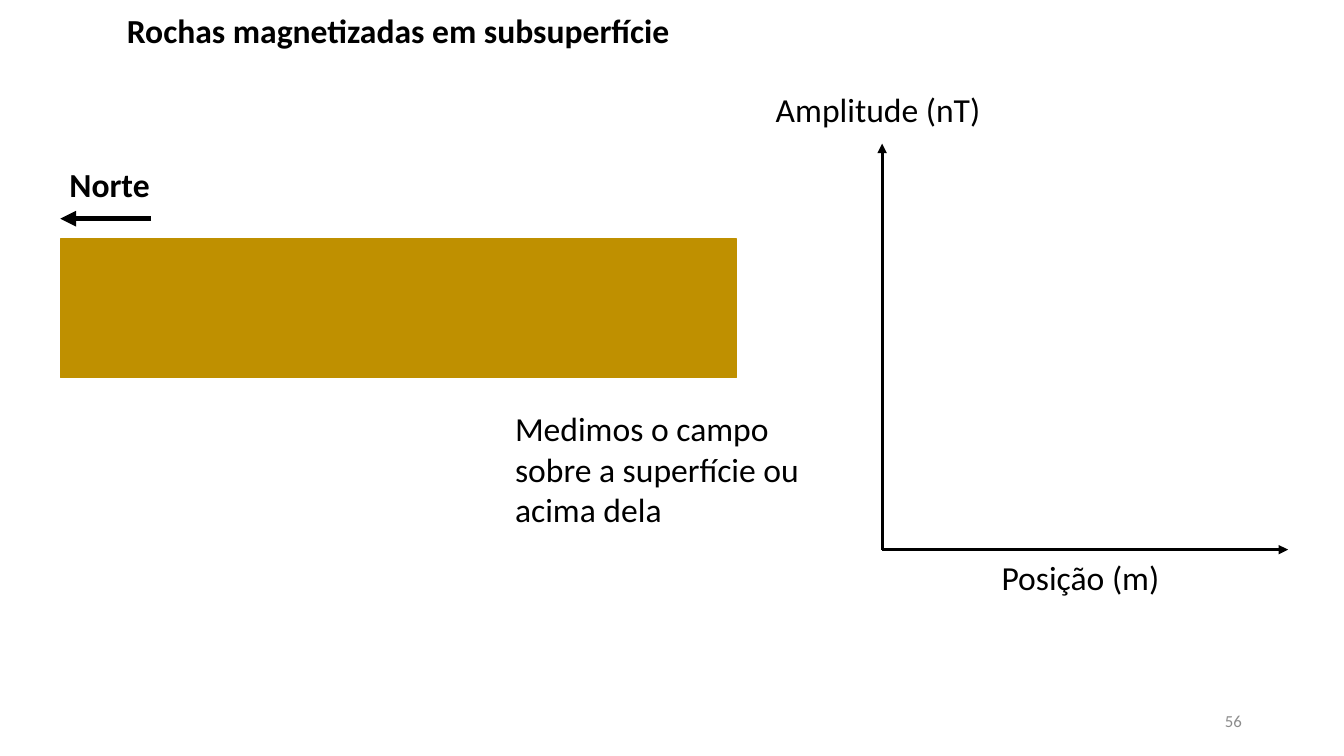
import pptx
import pptx.util
import pptx.dml.color
import pptx.enum.shapes
import pptx.enum.text
import pptx.oxml
import pptx.oxml.ns

Cm, Pt = pptx.util.Cm, pptx.util.Pt
ALIGN = pptx.enum.text.PP_ALIGN
ANCHOR = pptx.enum.text.MSO_ANCHOR

COLORS = {"text": "000000", "line": "000000", "rock": "BF9000", "number": "8C8C8C"}
FONT = "Calibri"

# Lengths in cm: left, top, width, height
ROCK_LAYER = (1.52, 6.02, 17.04, 3.5)
LABELS = [
    ("Rochas magnetizadas em subsuperfície", (2.95, 0.13, 14.6, 1.27), {"bold": True}),
    ("Norte", (1.5, 4.01, 2.95, 1.27), {"bold": True}),
    ("Posição (m)", (24.99, 13.92, 4.7, 1.27), {}),
    ("Amplitude (nT)", (19.3, 2.11, 6.05, 1.27), {}),
    ("Medimos o campo sobre a superfície ou acima dela", (12.73, 10.16, 8.15, 3.33), {}),
    ("56", (23.93, 17.65, 7.62, 1.02),
     {"size": 12, "color": "number", "align": ALIGN.RIGHT, "anchor": ANCHOR.MIDDLE}),
]

# Start, end (cm) and width (pt)
ORIGIN_X, ORIGIN_Y, AXIS_LENGTH = 22.23, 13.85, 10.23
ARROWS = [
    ((3.81, 5.51), (ROCK_LAYER[0], 5.51), 3.75),
    ((ORIGIN_X, ORIGIN_Y), (ORIGIN_X, ORIGIN_Y - AXIS_LENGTH), 2.25),
    ((ORIGIN_X, ORIGIN_Y), (ORIGIN_X + AXIS_LENGTH, ORIGIN_Y), 2.25),
]


def rgb(name):
    return pptx.dml.color.RGBColor.from_string(COLORS[name])


def add_text(s, text, box, size=24, bold=False, color="text",
             align=ALIGN.LEFT, anchor=ANCHOR.TOP):
    tf = s.shapes.add_textbox(*map(Cm, box)).text_frame
    tf.word_wrap = True
    tf.vertical_anchor = anchor
    p = tf.paragraphs[0]
    p.alignment = align
    r = p.add_run()
    r.text = text
    r.font.name, r.font.size, r.font.bold = FONT, Pt(size), bold
    r.font.color.rgb = rgb(color)


def add_arrow(s, start, end, width):
    sp = s.shapes.add_connector(pptx.enum.shapes.MSO_CONNECTOR.STRAIGHT,
                                *map(Cm, start + end))
    sp.line.color.rgb = rgb("line")
    sp.line.width = Pt(width)
    head = pptx.oxml.parse_xml(
        f'<a:tailEnd {pptx.oxml.ns.nsdecls("a")} type="triangle"/>')
    sp.line._get_or_add_ln().append(head)
    sp._element.spPr.append(pptx.oxml.parse_xml(
        f'<a:effectLst {pptx.oxml.ns.nsdecls("a")}/>'))


def add_rock_layer(s):
    sp = s.shapes.add_shape(pptx.enum.shapes.MSO_SHAPE.RECTANGLE, *map(Cm, ROCK_LAYER))
    sp.shadow.inherit = False
    sp.fill.solid()
    sp.fill.fore_color.rgb = rgb("rock")
    sp.line.color.rgb = rgb("rock")
    sp.line.width = Pt(1)


def main():
    prs = pptx.Presentation()
    prs.slide_width, prs.slide_height = Cm(33.87), Cm(19.05)
    s = prs.slides.add_slide(prs.slide_layouts[6])
    add_rock_layer(s)
    for start, end, width in ARROWS:
        add_arrow(s, start, end, width)
    for text, box, style in LABELS:
        add_text(s, text, box, **style)
    prs.save("out.pptx")


if __name__ == "__main__":
    main()
